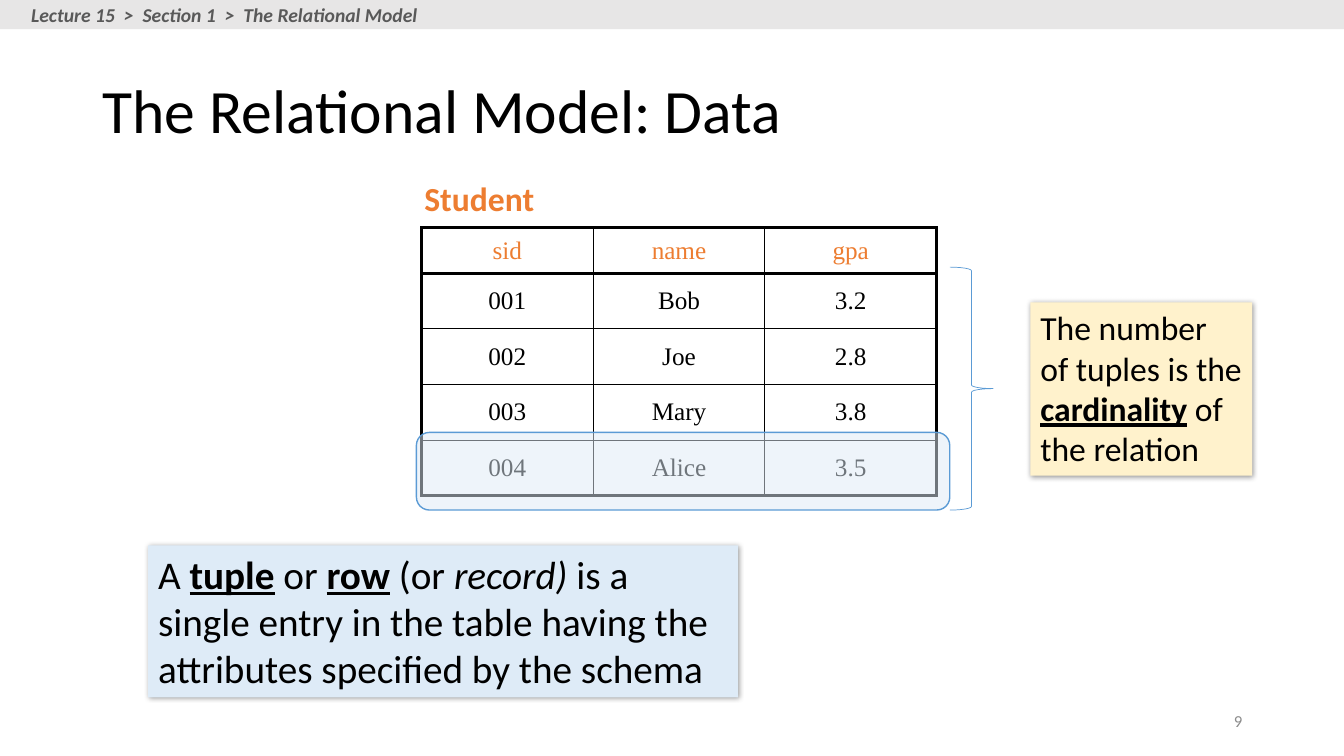
"""Build the slide on tuples and cardinality in the relational model."""
from dataclasses import dataclass
from typing import NamedTuple, Optional

from lxml.etree import SubElement
from pptx import Presentation
from pptx.dml.color import RGBColor
from pptx.enum.shapes import MSO_SHAPE as Geom
from pptx.enum.text import MSO_ANCHOR as Anchor, MSO_AUTO_SIZE as Fit, PP_ALIGN as Align
from pptx.oxml.ns import qn
from pptx.util import Emu, Pt

PX = 9144
COLORS = {
    "black": "000000", "orange": "ED7D31", "blue": "5B9BD5", "pale_blue": "DEEBF7",
    "cream": "FFF2CC", "bar": "E7E6E6", "crumb": "595959", "number": "8C8C8C",
}
THIN, THICK = Pt(1), Pt(2.25)
HEADER_H = 45
ROWS = [
    ("sid", "name", "gpa"),
    ("001", "Bob", "3.2"),
    ("002", "Joe", "2.8"),
    ("003", "Mary", "3.8"),
    ("004", "Alice", "3.5"),
]


class Box(NamedTuple):
    left: int
    top: int
    width: int
    height: int


class Run(NamedTuple):
    text: str
    style: str = ""


@dataclass
class Label:
    box: Box
    runs: list[Run]
    size: int
    color: str = "black"
    align: Align = Align.LEFT
    anchor: Anchor = Anchor.TOP
    wrap: bool = True
    spacing: Optional[float] = None


@dataclass
class Panel:
    box: Box
    geom: Geom = Geom.RECTANGLE
    fill: Optional[str] = None
    alpha: int = 100
    line: float = 0
    rotation: int = 0
    shadow: bool = False


NUMBER = Label(Box(942, 695, 300, 40), [Run("9")], 12, "number", Align.RIGHT, Anchor.MIDDLE)
TITLE = Label(Box(92, 40, 1150, 145), [Run("The Relational Model: Data")], 44,
              anchor=Anchor.MIDDLE, spacing=0.9)
TABLE = Box(418, 226, 511, 266)
RELATION = Label(Box(411, 172, 131, 50), [Run("Student", "b")], 24, "orange", wrap=False)
BRACE = Panel(Box(942, 265, 43, 241), Geom.LEFT_BRACE, line=0.5, rotation=180)
HIGHLIGHT = Panel(Box(413, 429, 529, 77), Geom.ROUNDED_RECTANGLE, "pale_blue", 50, 1)
TUPLE_BOX = Box(147, 541, 585, 151)
CARDINALITY_BOX = Box(1022, 300, 220, 172)
NOTES = [
    (Panel(TUPLE_BOX, fill="pale_blue", shadow=True),
     Label(TUPLE_BOX, [
         Run("A "), Run("tuple", "bu"), Run(" or "), Run("row", "bu"), Run(" (or "),
         Run("record) ", "i"),
         Run("is a single entry in the table having the attributes specified by the schema"),
     ], 28)),
    (Panel(CARDINALITY_BOX, fill="cream", shadow=True),
     Label(CARDINALITY_BOX, [
         Run("The number of tuples is the "), Run("cardinality", "bu"),
         Run(" of the relation"),
     ], 24)),
]
BAR = Panel(Box(0, 0, 1333, 29), fill="bar")
CRUMB = Label(Box(21, -2, 406, 34),
              [Run("Lecture 15  >  Section 1  >  The Relational Model", "bi")],
              14, "crumb", wrap=False)


def emu(box: Box) -> list[Emu]:
    return [Emu(n * PX) for n in box]


def rgb(name: str) -> RGBColor:
    return RGBColor.from_string(COLORS[name])


def add_run(p, run: Run, size: int, color: str, font: str = "Calibri") -> None:
    r = p.add_run()
    r.text = run.text
    r.font.name, r.font.size = font, Pt(size)
    r.font.color.rgb = rgb(color)
    r.font.bold, r.font.italic, r.font.underline = (k in run.style for k in "biu")


def write(sp, label: Label) -> None:
    tf = sp.text_frame
    tf.word_wrap, tf.auto_size = label.wrap, Fit.NONE
    tf.vertical_anchor = label.anchor
    p = tf.paragraphs[0]
    p.alignment, p.line_spacing = label.align, label.spacing
    for run in label.runs:
        add_run(p, run, label.size, label.color)


def add_label(shapes, label: Label) -> None:
    write(shapes.add_textbox(*emu(label.box)), label)


def add_shadow(sp) -> None:
    effects = sp._element.spPr.find(qn("a:effectLst"))
    shadow = SubElement(effects, qn("a:outerShdw"), blurRad=str(Pt(4)), dist=str(Pt(1)),
                        dir="2700000", algn="tl", rotWithShape="0")
    color = SubElement(shadow, qn("a:srgbClr"), val=COLORS["black"])
    SubElement(color, qn("a:alpha"), val="40000")


def add_panel(shapes, panel: Panel):
    sp = shapes.add_shape(panel.geom, *emu(panel.box))
    sp.rotation = panel.rotation
    sp.shadow.inherit = False
    if panel.fill:
        sp.fill.solid()
        sp.fill.fore_color.rgb = rgb(panel.fill)
    else:
        sp.fill.background()
    if panel.alpha < 100:
        color = sp._element.spPr.find(qn("a:solidFill"))[0]
        SubElement(color, qn("a:alpha"), val=str(panel.alpha * 1000))
    if panel.line:
        sp.line.color.rgb, sp.line.width = rgb("blue"), Pt(panel.line)
    else:
        sp.line.fill.background()
    if panel.shadow:
        add_shadow(sp)
    return sp


def add_borders(cell, thick: dict[str, bool]) -> None:
    tc_pr = cell._tc.get_or_add_tcPr()
    for side, is_thick in thick.items():
        ln = SubElement(tc_pr, qn(f"a:ln{side}"), w=str(THICK if is_thick else THIN))
        SubElement(SubElement(ln, qn("a:solidFill")), qn("a:srgbClr"), val=COLORS["black"])


def add_student_table(shapes) -> None:
    last_row, last_col = len(ROWS) - 1, len(ROWS[0]) - 1
    table = shapes.add_table(len(ROWS), len(ROWS[0]), *emu(TABLE)).table
    table.first_row = table.horz_banding = False
    for i, row in enumerate(ROWS):
        table.rows[i].height = Emu((TABLE.height - HEADER_H) * PX // last_row if i
                                   else HEADER_H * PX)
        for j, text in enumerate(row):
            cell = table.cell(i, j)
            add_borders(cell, {"L": j == 0, "R": j == last_col,
                               "T": i <= 1, "B": i in (0, last_row)})
            cell.fill.background()
            cell.vertical_anchor = Anchor.MIDDLE
            p = cell.text_frame.paragraphs[0]
            p.alignment = Align.CENTER
            add_run(p, Run(text), 18, "black" if i else "orange", "Times New Roman")


def main() -> None:
    prs = Presentation()
    prs.slide_width, prs.slide_height = Emu(1333 * PX), Emu(750 * PX)
    s = prs.slides.add_slide(prs.slide_layouts[6])
    add_label(s.shapes, NUMBER)
    add_label(s.shapes, TITLE)
    add_student_table(s.shapes)
    add_label(s.shapes, RELATION)
    add_panel(s.shapes, BRACE)
    add_panel(s.shapes, HIGHLIGHT)
    for panel, label in NOTES:
        write(add_panel(s.shapes, panel), label)
    header = s.shapes.add_group_shape()
    add_panel(header.shapes, BAR)
    add_label(header.shapes, CRUMB)
    prs.save("out.pptx")


if __name__ == "__main__":
    main()
